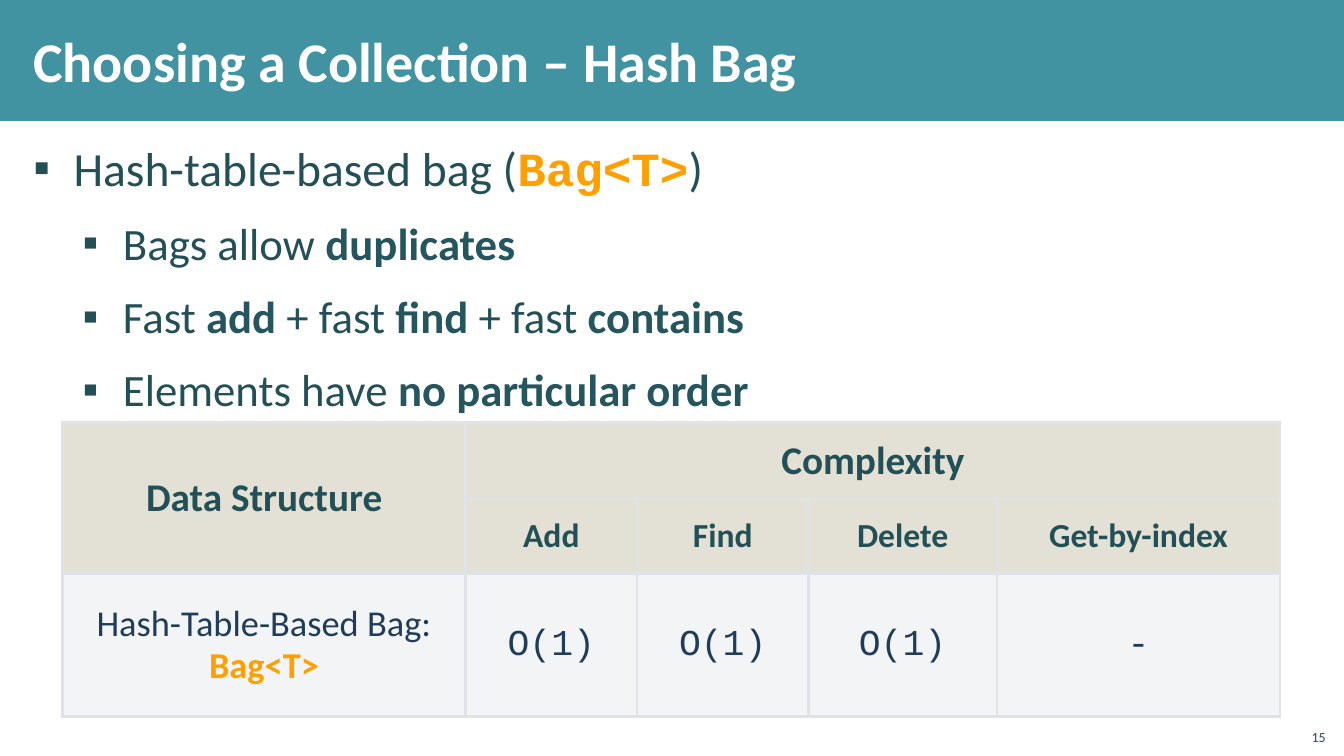
from lxml import etree
from pptx import Presentation
from pptx.dml.color import RGBColor
from pptx.enum.shapes import MSO_SHAPE
from pptx.enum.text import MSO_ANCHOR, PP_ALIGN
from pptx.oxml.ns import qn
from pptx.util import Emu, Inches, Pt

RECT = MSO_SHAPE.RECTANGLE
MIDDLE, BOTTOM, TOP = MSO_ANCHOR.MIDDLE, MSO_ANCHOR.BOTTOM, MSO_ANCHOR.TOP
LEFT, CENTER, RIGHT = PP_ALIGN.LEFT, PP_ALIGN.CENTER, PP_ALIGN.RIGHT

SANS, MONO = "Calibri", "Courier New"
TEAL, DARK, STRONG = "4193A1", "235057", "25565E"
ORANGE, NAVY, WHITE = "FFA000", "1F3D5A", "FFFFFF"
HEAD_FILL, BODY_FILL, BORDER = "E3E0D5", "F3F4F6", "DFE2E8"

PLAIN = (SANS, DARK, False)
BOLD = (SANS, STRONG, True)
CODE = (MONO, ORANGE, True)
HEAD = (SANS, DARK, True)
NAME = (SANS, NAVY, False)
TYPE = (SANS, ORANGE, True)
VALUE = (MONO, NAVY, False)

TITLE = "Choosing a Collection – Hash Bag"
BULLETS = [
    (0, [("Hash-table-based bag (", PLAIN), ("Bag<T>", CODE), (")", PLAIN)]),
    (1, [("Bags allow ", PLAIN), ("duplicates", BOLD)]),
    (1, [("Fast ", PLAIN), ("add", BOLD), (" + fast ", PLAIN), ("find", BOLD),
         (" + fast ", PLAIN), ("contains", BOLD)]),
    (1, [("Elements have ", PLAIN), ("no particular order", BOLD)]),
]
LEVELS = [(34, 0.4), (32, 0.89)]
COLS = [4, 1.7, 1.7, 1.87, 2.81]
ROWS = [0.76, 0.74, 1.42]
CELLS = [
    (28, HEAD_FILL, [[("Data Structure", HEAD)], [("Complexity", HEAD)], [], [], []]),
    (24, HEAD_FILL, [[]] + [[(t, HEAD)] for t in ("Add", "Find", "Delete", "Get-by-index")]),
    (26, BODY_FILL, [[("Hash-Table-Based Bag: ", NAME), ("Bag<T>", TYPE)]]
     + [[(t, VALUE)] for t in ("O(1)", "O(1)", "O(1)", "-")]),
]
SPANS = [((0, 0), (1, 0)), ((0, 1), (0, 4))]


def rgb(color):
    return RGBColor.from_string(color)


def add_runs(p, runs, size):
    for text, (font, color, bold) in runs:
        r = p.add_run()
        r.text = text
        r.font.name, r.font.size, r.font.bold = font, Pt(size), bold
        r.font.color.rgb = rgb(color)


def set_frame(tf, anchor, side, edge):
    tf.word_wrap = True
    tf.vertical_anchor = anchor
    tf.margin_left = tf.margin_right = Inches(side)
    tf.margin_top = tf.margin_bottom = Inches(edge)


def add_box(s, left, top, width, height):
    return s.shapes.add_textbox(*map(Inches, (left, top, width, height))).text_frame


def set_bullet(p, level, indent):
    p.level = level
    pPr = p._p.get_or_add_pPr()
    pPr.set("marL", str(Inches(indent)))
    pPr.set("indent", str(Inches(-0.4)))
    etree.SubElement(pPr, qn("a:buFont")).set("typeface", "Wingdings")
    pPr[-1].set("typeface", "Arial")
    etree.SubElement(pPr, qn("a:buChar")).set("char", "▪")


def set_borders(cell):
    tcPr = cell._tc.get_or_add_tcPr()
    for i, side in enumerate(("a:lnL", "a:lnR", "a:lnT", "a:lnB")):
        ln = etree.Element(qn(side), w=str(Pt(2.25)))
        fill = etree.SubElement(ln, qn("a:solidFill"))
        etree.SubElement(fill, qn("a:srgbClr")).set("val", BORDER)
        tcPr.insert(i, ln)


def add_header(s, width):
    title = s.shapes.title
    band = s.shapes.add_shape(RECT, 0, 0, width, Inches(1.2))
    band.shadow.inherit = False
    band.fill.solid()
    band.fill.fore_color.rgb = rgb(TEAL)
    band.line.fill.background()
    title._element.addprevious(band._element)
    title.left, title.top, title.width, title.height = map(Inches, (0.21, 0.11, 10.71, 0.97))
    tf = title.text_frame
    set_frame(tf, MIDDLE, 0.12, 0.04)
    p = tf.paragraphs[0]
    p.alignment = LEFT
    add_runs(p, [(TITLE, (SANS, WHITE, True))], 40)


def add_bullets(s):
    tf = add_box(s, 0.21, 1.31, 12.92, 6.08)
    set_frame(tf, TOP, 0.12, 0.04)
    for i, (level, runs) in enumerate(BULLETS):
        p = tf.add_paragraph() if i else tf.paragraphs[0]
        size, indent = LEVELS[level]
        set_bullet(p, level, indent)
        p.line_spacing = 1.05
        p.space_before = Pt(6 if i else 0)
        p.space_after = Pt(6)
        add_runs(p, runs, size)


def add_complexity(s):
    frame = s.shapes.add_table(len(ROWS), len(COLS), Inches(0.62), Inches(4.19),
                               Inches(sum(COLS)), Inches(sum(ROWS)))
    table = frame.table
    for col, width in zip(table.columns, COLS):
        col.width = Inches(width)
    for row, height in zip(table.rows, ROWS):
        row.height = Inches(height)
    for i, (size, fill, row) in enumerate(CELLS):
        for j, runs in enumerate(row):
            cell = table.cell(i, j)
            cell.fill.solid()
            cell.fill.fore_color.rgb = rgb(fill)
            cell.vertical_anchor = MIDDLE
            set_borders(cell)
            p = cell.text_frame.paragraphs[0]
            p.alignment = CENTER
            p.line_spacing = 0.95
            add_runs(p, runs, size)
    for first, last in SPANS:
        table.cell(*first).merge(table.cell(*last))


def add_number(s):
    tf = add_box(s, 12.85, 7.12, 0.4, 0.32)
    set_frame(tf, BOTTOM, 0.1, 0.05)
    p = tf.paragraphs[0]
    p.alignment = RIGHT
    add_runs(p, [("15", PLAIN)], 10)


def main():
    prs = Presentation()
    prs.slide_width, prs.slide_height = Emu(12192000), Inches(7.5)
    s = prs.slides.add_slide(prs.slide_layouts[5])
    add_header(s, prs.slide_width)
    add_bullets(s)
    add_number(s)
    add_complexity(s)
    prs.save("out.pptx")


if __name__ == "__main__":
    main()
